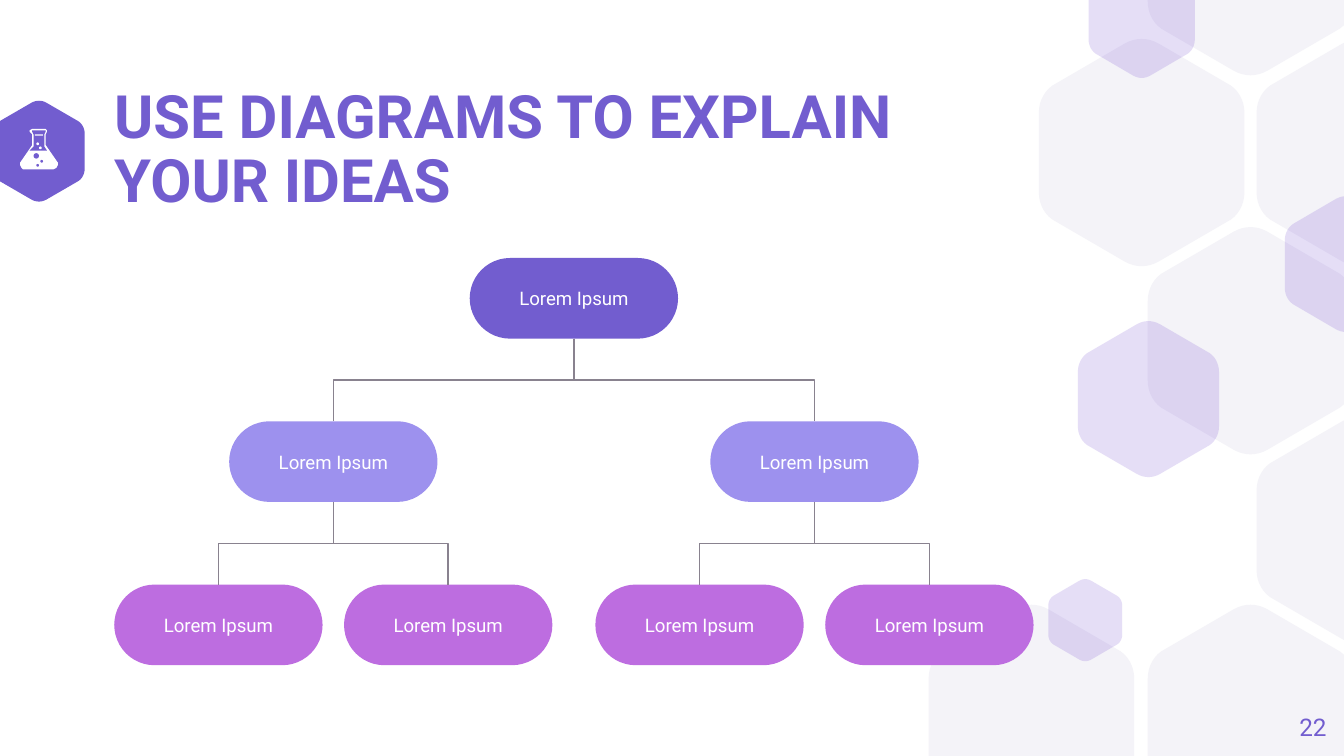
from dataclasses import dataclass

from lxml.etree import SubElement
from pptx import Presentation
from pptx.dml.color import RGBColor
from pptx.enum.shapes import MSO_CONNECTOR, MSO_SHAPE
from pptx.enum.text import MSO_ANCHOR, PP_ALIGN
from pptx.oxml.ns import qn
from pptx.util import Inches, Pt


@dataclass(frozen=True)
class Theme:
    font: str = "Roboto"
    primary: str = "725DCF"
    branch: str = "9D91EE"
    leaf: str = "BD6DE0"
    pale: str = "F4F3F8"
    accent: str = "5322C9"
    line: str = "89828F"
    white: str = "FFFFFF"
    title_size: float = 32
    number_size: float = 13
    node_size: float = 10


theme = Theme()
presentation = Presentation()
presentation.slide_width = Inches(10)
presentation.slide_height = Inches(5.625)
slide = presentation.slides.add_slide(presentation.slide_layouts[6])


def paint(shape, color, opacity=100):
    shape.shadow.inherit = False
    shape.fill.solid()
    shape.fill.fore_color.rgb = RGBColor.from_string(color)
    shape.line.fill.background()
    if opacity < 100:
        color_element = shape._element.spPr.find(qn("a:solidFill"))[0]
        SubElement(color_element, qn("a:alpha"), val=str(opacity * 1000))


def write(shape, text, size, color, alignment, margin=0, bold=False):
    frame = shape.text_frame
    frame.word_wrap = True
    frame.vertical_anchor = MSO_ANCHOR.MIDDLE
    frame.margin_left = frame.margin_right = Inches(margin)
    frame.margin_top = frame.margin_bottom = Inches(margin)
    paragraph = frame.paragraphs[0]
    paragraph.alignment = alignment
    run = paragraph.add_run()
    run.text = text
    run.font.name = theme.font
    run.font.size = Pt(size)
    run.font.bold = bold
    run.font.color.rgb = RGBColor.from_string(color)
    return paragraph


# Rounded hexagon outline on a unit square: three upper corners, then their opposites
upper_corners = [
    [(0, 0.325), (0, 0.272), (0.03, 0.219), (0.085, 0.195)],
    [(0.418, 0.02), (0.471, -0.007), (0.529, -0.007), (0.582, 0.02)],
    [(0.915, 0.195), (0.97, 0.219), (1, 0.272), (1, 0.325)],
]
lower_corners = [[(1 - x, 1 - y) for x, y in corner] for corner in upper_corners]
steps = 8
outline = []
for corner in upper_corners + lower_corners:
    for step in range(steps + 1):
        t = step / steps
        weights = ((1 - t) ** 3, 3 * t * (1 - t) ** 2, 3 * t**2 * (1 - t), t**3)
        outline.append(tuple(
            sum(weight * point[axis] for weight, point in zip(weights, corner))
            for axis in (0, 1)
        ))

# Hexagons: left, top, width, height, color, opacity; cut at the slide's top and bottom
large = (1.53, 1.69)
hexagons = [
    (-0.05, 0.75, 0.68, 0.75, theme.primary, 100),
    (6.91, 4.5, *large, theme.pale, 100),
    (8.54, 4.5, *large, theme.pale, 100),
    (9.35, 0.29, *large, theme.pale, 100),
    (8.54, -1.13, *large, theme.pale, 100),
    (8.54, 1.69, *large, theme.pale, 100),
    (7.73, 0.29, *large, theme.pale, 100),
    (9.56, 1.46, 0.91, 1.01, theme.accent, 15),
    (7.8, 4.31, 0.55, 0.61, theme.accent, 15),
    (8.1, -0.3, 0.79, 0.88, theme.accent, 15),
    (8.02, 2.39, 1.05, 1.16, theme.accent, 15),
    (9.35, 3.1, *large, theme.pale, 100),
]
for left, top, width, height, color, opacity in hexagons:
    points = [
        (Inches(left + x * width), Inches(min(max(top + y * height, 0), 5.625)))
        for x, y in outline
    ]
    builder = slide.shapes.build_freeform(*points[0])
    builder.add_line_segments(points[1:])
    paint(builder.convert_to_shape(), color, opacity)

# Title and slide number
title = slide.shapes.add_textbox(Inches(0.85), Inches(0.91), Inches(6.57), Inches(0.43))
title_paragraph = write(title, "USE DIAGRAMS TO EXPLAIN YOUR IDEAS", theme.title_size,
                        theme.primary, PP_ALIGN.LEFT, bold=True)
title_paragraph.line_spacing = 0.9
number = slide.shapes.add_textbox(Inches(9.27), Inches(5.19), Inches(0.6), Inches(0.43))
write(number, "22", theme.number_size, theme.primary, PP_ALIGN.RIGHT)

# Flask icon: body, hollow neck, bubbles and rim line
flask_parts = [
    ([(0.24, 0.96), (0.34, 0.96), (0.35, 0.97), (0.35, 0.98), (0.34, 1), (0.34, 1.08),
      (0.43, 1.21), (0.43, 1.23), (0.42, 1.25), (0.4, 1.26), (0.17, 1.26), (0.16, 1.25),
      (0.15, 1.23), (0.15, 1.21), (0.24, 1.08), (0.24, 1), (0.22, 0.98), (0.22, 0.97)],
     theme.white),
    ([(0.24, 0.97), (0.34, 0.97), (0.34, 0.98), (0.33, 1), (0.33, 1.09), (0.35, 1.12),
      (0.22, 1.12), (0.25, 1.09), (0.25, 1), (0.24, 0.98)], theme.primary),
]
for points, color in flask_parts:
    points = [(Inches(x), Inches(y)) for x, y in points]
    builder = slide.shapes.build_freeform(*points[0])
    builder.add_line_segments(points[1:])
    paint(builder.convert_to_shape(), color)

flask_details = [
    (MSO_SHAPE.OVAL, 0.25, 1.14, 0.04, 0.04, theme.primary),
    (MSO_SHAPE.OVAL, 0.3, 1.19, 0.02, 0.02, theme.primary),
    (MSO_SHAPE.OVAL, 0.27, 1.22, 0.02, 0.02, theme.primary),
    (MSO_SHAPE.OVAL, 0.29, 1.09, 0.02, 0.02, theme.white),
    (MSO_SHAPE.OVAL, 0.27, 1.06, 0.02, 0.02, theme.white),
    (MSO_SHAPE.ROUNDED_RECTANGLE, 0.26, 1, 0.06, 0.01, theme.white),
]
for kind, left, top, width, height, color in flask_details:
    detail = slide.shapes.add_shape(
        kind, Inches(left), Inches(top), Inches(width), Inches(height))
    paint(detail, color)

# Tree nodes, each level spread around its parents
node_width, node_height = 1.55, 0.6
first_top, level_step = 1.92, 1.215
root_center = 4.27
branch_offset, leaf_offset = 1.79, 0.855
branch_centers = [root_center - branch_offset, root_center + branch_offset]
links = [(0, root_center, branch) for branch in branch_centers]
links += [(1, branch, branch + offset)
          for branch in branch_centers for offset in (-leaf_offset, leaf_offset)]
level_colors = [theme.primary, theme.branch, theme.leaf]
nodes = [(0, root_center)] + [(level + 1, child) for level, parent, child in links]
for level, center in nodes:
    node = slide.shapes.add_shape(
        MSO_SHAPE.ROUNDED_RECTANGLE,
        Inches(center - node_width / 2), Inches(first_top + level * level_step),
        Inches(node_width), Inches(node_height))
    node.adjustments[0] = 0.5
    paint(node, level_colors[level])
    write(node, "Lorem Ipsum", theme.node_size, theme.white, PP_ALIGN.CENTER, margin=0.1)

# Elbow connectors, turned a quarter so that they leave each parent downwards
drop = level_step - node_height
for level, parent, child in links:
    run_length = child - parent
    middle_x = (parent + child) / 2
    middle_y = first_top + level * level_step + node_height + drop / 2
    connector = slide.shapes.add_connector(
        MSO_CONNECTOR.ELBOW,
        Inches(middle_x - drop / 2), Inches(middle_y + run_length / 2),
        Inches(middle_x + drop / 2), Inches(middle_y - run_length / 2))
    connector.line.color.rgb = RGBColor.from_string(theme.line)
    connector.line.width = Pt(0.75)
    properties = connector._element.spPr
    properties.find(qn("a:xfrm")).set("rot", str(90 * 60000))
    SubElement(properties, qn("a:effectLst"))

presentation.save("out.pptx")
